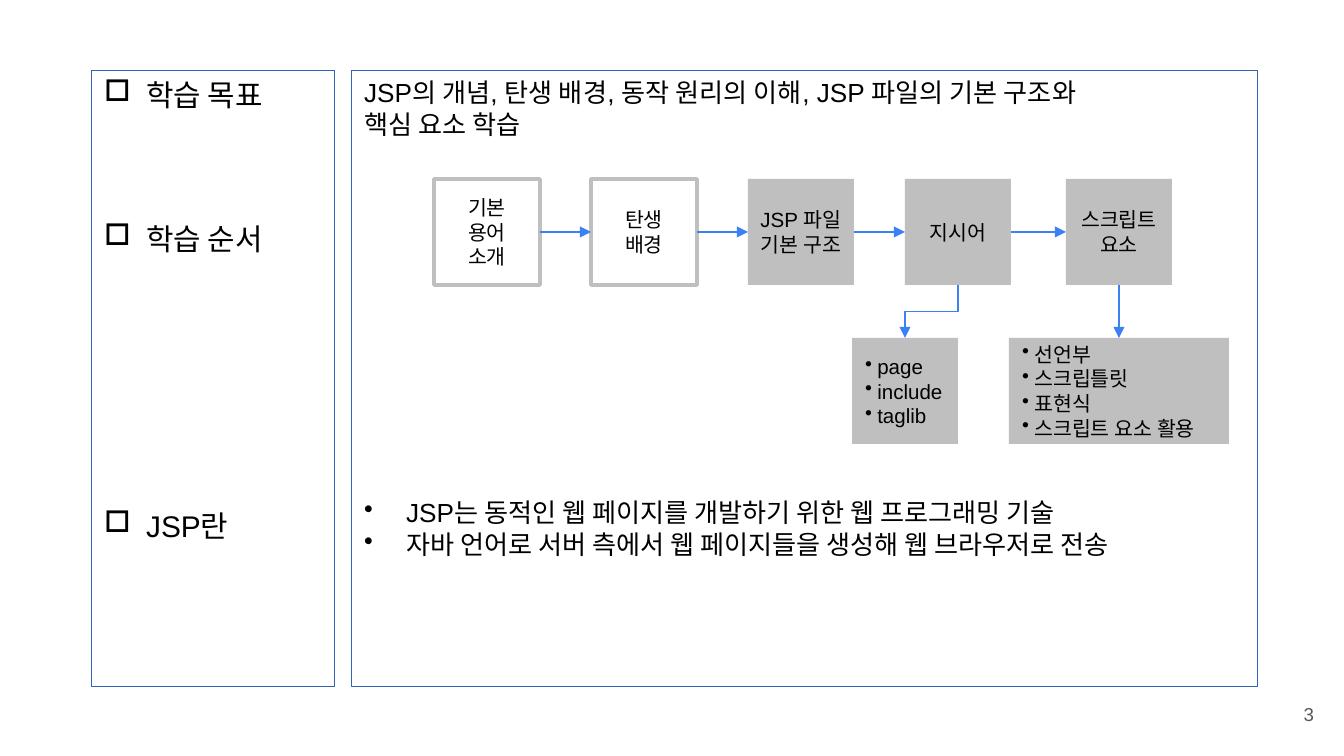
from dataclasses import dataclass

from lxml import etree
from pptx import Presentation
from pptx.dml.color import RGBColor
from pptx.enum.shapes import MSO_CONNECTOR, MSO_SHAPE
from pptx.enum.text import MSO_ANCHOR, PP_ALIGN
from pptx.oxml.ns import qn
from pptx.util import Pt

RECT = MSO_SHAPE.RECTANGLE
STRAIGHT, ELBOW = MSO_CONNECTOR.STRAIGHT, MSO_CONNECTOR.ELBOW
TOP, MIDDLE = MSO_ANCHOR.TOP, MSO_ANCHOR.MIDDLE
LEFT, CENTER, RIGHT = PP_ALIGN.LEFT, PP_ALIGN.CENTER, PP_ALIGN.RIGHT
WIDE, HIGH = 1344, 756
SCALE = 9144000 / WIDE


@dataclass(frozen=True)
class Theme:
    """Colours, font and type sizes of the slide."""
    font: str = "Arial"
    ink: str = "000000"
    mute: str = "595959"
    frame: str = "3162B5"
    grey: str = "BFBFBF"
    white: str = "FFFFFF"
    arrow: str = "3C81F3"
    head: int = 16
    body: int = 14
    label: int = 11
    foot: int = 10


THEME = Theme()


def px(num):
    """Turn px into EMU."""
    return round(num * SCALE)


def style(item, **values):
    """Set each given format value on the item."""
    for name, value in values.items():
        setattr(item, name, value)


def write(frame, rows, size, color=THEME.ink, align=LEFT, mark=None, indent=0):
    """Fill a text frame with rows of (text, space before in points)."""
    for i, (text, space) in enumerate(rows):
        para = frame.paragraphs[0] if i == 0 else frame.add_paragraph()
        para.text = text
        style(para, alignment=align, space_before=Pt(space))
        style(para.font, name=THEME.font, size=Pt(size))
        for run in para.runs:
            style(run.font, name=THEME.font, size=Pt(size))
            run.font.color.rgb = RGBColor.from_string(color)
        if mark:
            bullet(para, mark, indent)


def bullet(para, mark, indent):
    """Give a paragraph a bullet with a hanging indent."""
    props = para._p.get_or_add_pPr()
    props.set("marL", str(px(indent)))
    props.set("indent", str(-px(indent)))
    etree.SubElement(props, qn("a:buChar")).set("char", mark)


def block(slide, box, fill=None, line=None, width=0):
    """Draw a plain rectangle."""
    shape = slide.shapes.add_shape(RECT, *map(px, box))
    shape.shadow.inherit = False
    if fill:
        shape.fill.solid()
        shape.fill.fore_color.rgb = RGBColor.from_string(fill)
    else:
        shape.fill.background()
    if line:
        shape.line.color.rgb = RGBColor.from_string(line)
        shape.line.width = Pt(width)
    else:
        shape.line.fill.background()
    return shape


def panel(slide, box):
    """Draw a framed panel and return its text frame."""
    frame = block(slide, box, None, THEME.frame, 0.25).text_frame
    style(frame, word_wrap=True, vertical_anchor=TOP)
    return frame


def topics(slide, box):
    """Place the list of topics."""
    rows = [("학습 목표", 0), ("학습 순서", 58), ("JSP란", 134.5)]
    write(panel(slide, box), rows, THEME.head, mark="□", indent=42)


def detail(slide, box):
    """Place the goal, the flow and the summary."""
    frame = panel(slide, box)
    goal = "JSP의 개념, 탄생 배경, 동작 원리의 이해, JSP 파일의 기본 구조와\v핵심 요소 학습"
    notes = [("JSP는 동적인 웹 페이지를 개발하기 위한 웹 프로그래밍 기술", 191.5),
             ("자바 언어로 서버 측에서 웹 페이지들을 생성해 웹 브라우저로 전송", 0)]
    write(frame, [(goal, 0)] + notes, THEME.body)
    for para in frame.paragraphs[1:]:
        bullet(para, "•", 42)
    flow(slide, (box[0] + 83, box[1] + 109))


def node(slide, box, rows, done=False, **form):
    """Draw one labelled box of the flow."""
    look = (THEME.white, THEME.grey, 2) if done else (THEME.grey,)
    shape = block(slide, box, *look)
    style(shape.text_frame, word_wrap=False, vertical_anchor=MIDDLE)
    write(shape.text_frame, [(row, 0) for row in rows], THEME.label, **form)
    return shape


def arrow(slide, kind, ends):
    """Draw an arrow between two points in EMU."""
    line = slide.shapes.add_connector(kind, *ends)
    line.line.color.rgb = RGBColor.from_string(THEME.arrow)
    line.line.width = Pt(0.75)
    tail = etree.SubElement(line.line._get_or_add_ln(), qn("a:tailEnd"))
    tail.set("type", "triangle")
    etree.SubElement(line._element.spPr, qn("a:effectLst"))
    return line


def join(slide, first, last, start, stop):
    """Join the sides of two boxes with a straight arrow."""
    line = arrow(slide, STRAIGHT, (0, 0, 0, 0))
    line.begin_connect(first, start)
    line.end_connect(last, stop)


def bend(slide, first, last):
    """Lead an elbow arrow from a box down to one at its lower left."""
    right = first.left + first.width // 2
    left = last.left + last.width // 2
    ends = (left, first.top + first.height, right, last.top)
    line = arrow(slide, ELBOW, ends)
    line._element.spPr.find(qn("a:xfrm")).set("rot", "5400000")


def flow(slide, spot):
    """Place the learning steps, their details and the arrows."""
    x, y = spot
    side, step, drop = 106, 157, 159
    names = ["기본\v용어\v소개", "탄생\v배경", "JSP 파일\v기본 구조", "지시어", "스크립트\v요소"]
    places = [i * step for i in range(4)] + [632]
    steps = [node(slide, (x + dx, y, side, side), [name], i < 2, align=CENTER)
             for i, (dx, name) in enumerate(zip(places, names))]
    parts = [(418, side, ["page", "include", "taglib"]),
             (575, 220, ["선언부", "스크립틀릿", "표현식", "스크립트 요소 활용"])]
    tags, script = [
        node(slide, (x + dx, y + drop, wide, side), rows, mark="•", indent=12)
        for dx, wide, rows in parts]
    for first, last in zip(steps, steps[1:]):
        join(slide, first, last, 3, 1)
    mid = steps[4].left + steps[4].width // 2
    arrow(slide, STRAIGHT, (mid, steps[4].top + steps[4].height, mid, script.top))
    bend(slide, steps[3], tags)


def number(slide, box):
    """Place the page number."""
    frame = slide.shapes.add_textbox(*map(px, box)).text_frame
    style(frame, word_wrap=True, vertical_anchor=MIDDLE,
          margin_top=px(13), margin_bottom=px(13))
    write(frame, [("3", 0)], THEME.foot, THEME.mute, RIGHT)


def main():
    """Build and save the slide."""
    deck = Presentation()
    style(deck, slide_width=px(WIDE), slide_height=px(HIGH))
    slide = deck.slides.add_slide(deck.slide_layouts[6])
    number(slide, (1246, 685, 81, 58))
    topics(slide, (91, 70, 243, 616))
    detail(slide, (351, 70, 906, 616))
    deck.save("out.pptx")


if __name__ == "__main__":
    main()
